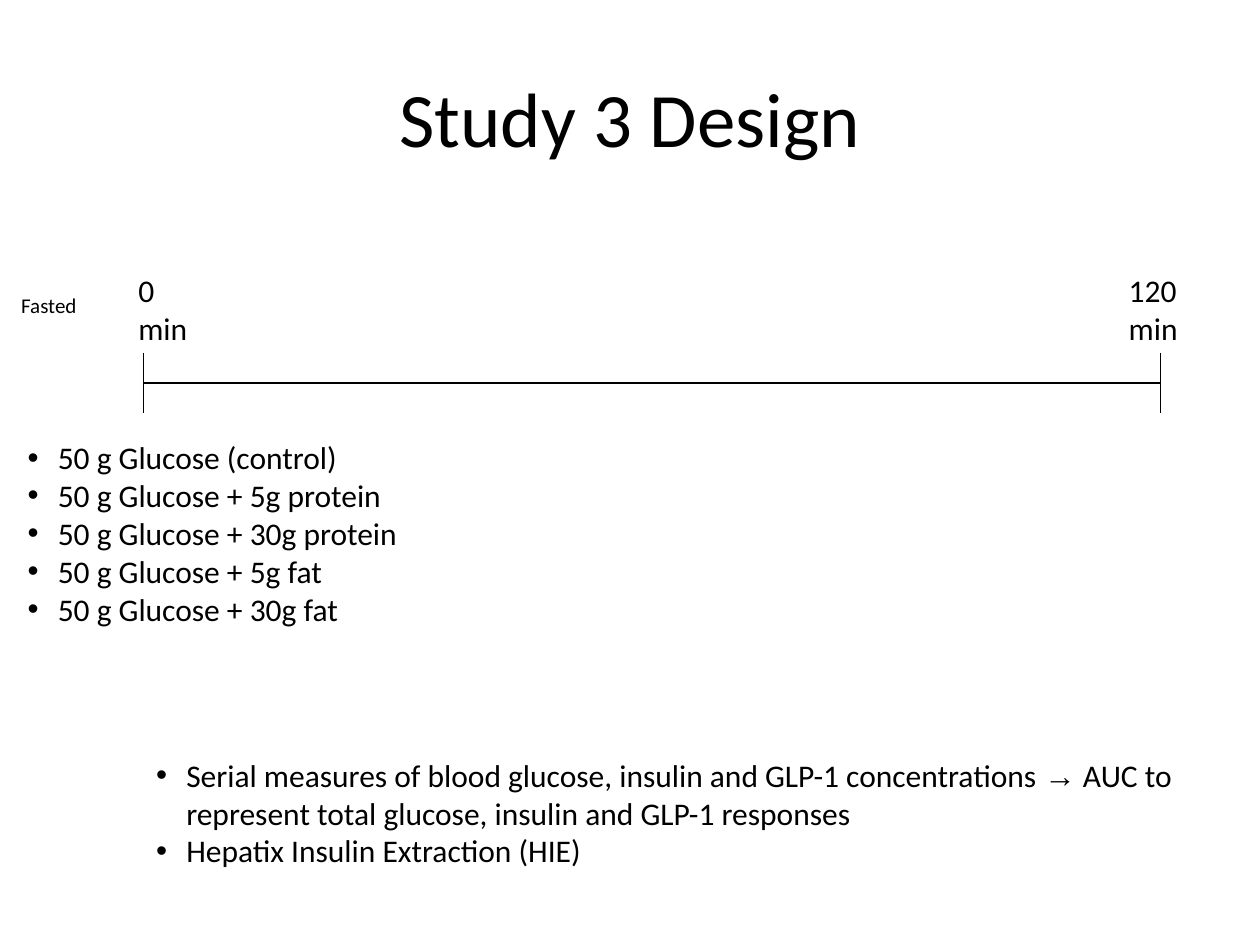
from dataclasses import dataclass

from lxml.etree import SubElement
from pptx import Presentation
from pptx.dml.color import RGBColor
from pptx.enum.shapes import MSO_CONNECTOR as Connector
from pptx.enum.text import MSO_ANCHOR as Anchor, PP_ALIGN as Align
from pptx.oxml.ns import qn
from pptx.util import Inches, Pt

COLORS = {"background": "FFFFFF", "text": "000000", "line": "000000"}
BODY_FONT, ARROW_FONT = "Calibri", "Arial"
ARROW = "→"
BULLET_INDENT = 0.24

# Timeline geometry
START_X, END_X = 1.14, 9.21
AXIS_Y, TICK_HALF = 3.04, 0.24


@dataclass
class TextItem:
    left: float
    top: float
    width: float
    height: float
    lines: list[str]
    size: int = 18
    bulleted: bool = False
    align: Align = Align.LEFT
    anchor: Anchor = Anchor.TOP


@dataclass
class Segment:
    x1: float
    y1: float
    x2: float
    y2: float


TEXTS = [
    TextItem(0.5, 0.3, 9, 1.25, ["Study 3 Design"], size=44,
             align=Align.CENTER, anchor=Anchor.MIDDLE),
    TextItem(0.12, 3.43, 3.22, 4, [
        "50 g Glucose (control)",
        "50 g Glucose + 5g protein",
        "50 g Glucose + 30g protein",
        "50 g Glucose + 5g fat",
        "50 g Glucose + 30g fat",
    ], bulleted=True),
    TextItem(1, 2.1, 1.57, 0.7, ["0", "min"]),
    TextItem(8.86, 2.1, 1.57, 0.7, ["120", "min"]),
    TextItem(START_X, 5.95, 8.41, 1.3, [
        "Serial measures of blood glucose, insulin and GLP-1 concentrations → AUC to "
        "represent total glucose, insulin and GLP-1 responses",
        "Hepatix Insulin Extraction (HIE)",
    ], bulleted=True),
    TextItem(0.07, 2.27, 1.57, 0.3, ["Fasted"], size=12),
]

TIMELINE = [Segment(START_X, AXIS_Y, END_X, AXIS_Y)] + [
    Segment(x, AXIS_Y - TICK_HALF, x, AXIS_Y + TICK_HALF) for x in (START_X, END_X)
]


def color(name: str) -> RGBColor:
    return RGBColor.from_string(COLORS[name])


def add_bullet(para) -> None:
    properties = para._p.get_or_add_pPr()
    properties.set("marL", str(Inches(BULLET_INDENT)))
    properties.set("indent", str(-Inches(BULLET_INDENT)))
    SubElement(properties, qn("a:buFont")).set("typeface", ARROW_FONT)
    SubElement(properties, qn("a:buChar")).set("char", "•")


def fill_paragraph(para, line: str, item: TextItem) -> None:
    para.alignment = item.align
    if item.bulleted:
        add_bullet(para)
    # The arrow is a run of its own, because its font differs
    for part in filter(None, line.partition(ARROW)):
        span = para.add_run()
        span.text = part
        span.font.name = ARROW_FONT if part == ARROW else BODY_FONT
        span.font.size = Pt(item.size)
        span.font.color.rgb = color("text")


def add_text(page, item: TextItem) -> None:
    box = page.shapes.add_textbox(Inches(item.left), Inches(item.top),
                                  Inches(item.width), Inches(item.height))
    frame = box.text_frame
    frame.word_wrap = True
    frame.vertical_anchor = item.anchor
    for index, line in enumerate(item.lines):
        para = frame.add_paragraph() if index else frame.paragraphs[0]
        fill_paragraph(para, line, item)


def add_line(page, segment: Segment) -> None:
    line = page.shapes.add_connector(Connector.STRAIGHT,
                                     Inches(segment.x1), Inches(segment.y1),
                                     Inches(segment.x2), Inches(segment.y2))
    line.line.color.rgb = color("line")
    line.line.width = Pt(0.75)
    SubElement(line._element.spPr, qn("a:effectLst"))


def main() -> None:
    deck = Presentation()
    deck.slide_width, deck.slide_height = Inches(10), Inches(7.5)
    page = deck.slides.add_slide(deck.slide_layouts[6])
    page.background.fill.solid()
    page.background.fill.fore_color.rgb = color("background")

    # Timeline axis with a tick at each end
    for segment in TIMELINE:
        add_line(page, segment)

    # Title, time labels and bullet lists
    for item in TEXTS:
        add_text(page, item)

    deck.save("out.pptx")


if __name__ == "__main__":
    main()
